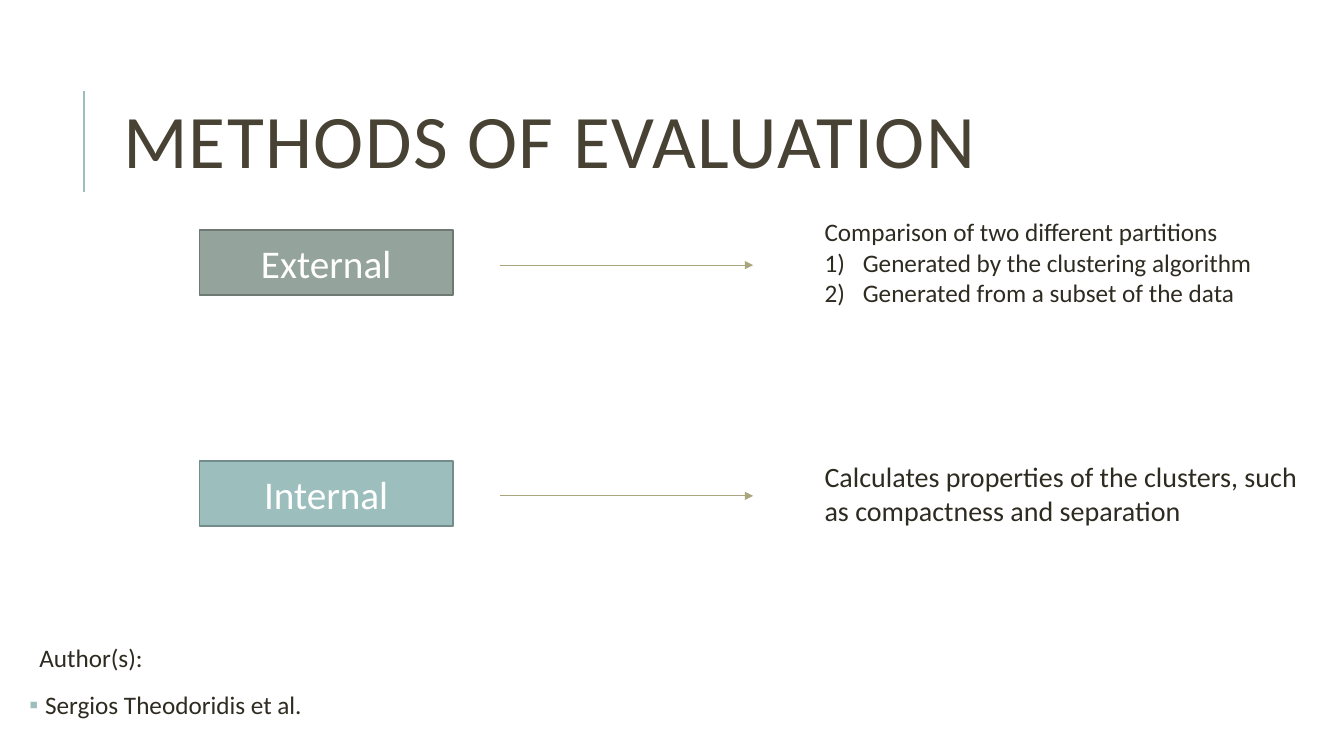
"""Build the slide on external and internal methods of evaluation."""
from lxml import etree
from pptx import Presentation
from pptx.dml.color import RGBColor
from pptx.enum.shapes import MSO_CONNECTOR, MSO_SHAPE
from pptx.enum.text import MSO_ANCHOR, MSO_AUTO_SIZE, PP_ALIGN
from pptx.oxml.ns import qn
from pptx.util import Inches, Pt

STRAIGHT = MSO_CONNECTOR.STRAIGHT
RECTANGLE = MSO_SHAPE.RECTANGLE
TOP, MIDDLE = MSO_ANCHOR.TOP, MSO_ANCHOR.MIDDLE
NO_FIT, GROW = MSO_AUTO_SIZE.NONE, MSO_AUTO_SIZE.SHAPE_TO_FIT_TEXT
LEFT, CENTER = PP_ALIGN.LEFT, PP_ALIGN.CENTER
WHITE = RGBColor(0xFF, 0xFF, 0xFF)
TITLE_BROWN = RGBColor(0x47, 0x42, 0x33)
TEXT_BROWN = RGBColor(0x2E, 0x2B, 0x21)
TEAL = RGBColor(0x9C, 0xBE, 0xBD)
TEAL_EDGE = RGBColor(0x73, 0x8D, 0x8C)
SAGE = RGBColor(0x95, 0xA3, 0x9D)
SAGE_EDGE = RGBColor(0x6E, 0x79, 0x74)
OLIVE = RGBColor(0xA9, 0xA5, 0x7C)


def write(shape, lines, size, color, align, anchor):
    frame = shape.text_frame
    frame.text = "\n".join(lines)
    frame.word_wrap = True
    frame.auto_size = NO_FIT
    frame.vertical_anchor = anchor
    for para in frame.paragraphs:
        para.alignment = align
        for span in para.runs:
            span.font.name = "Calibri"
            span.font.size = Pt(size)
            span.font.color.rgb = color
    return frame


def draw_line(x1, y1, x2, y2, color, width):
    line = slide.shapes.add_connector(
        STRAIGHT, Inches(x1), Inches(y1), Inches(x2), Inches(y2))
    line.line.color.rgb = color
    line.line.width = Pt(width)
    etree.SubElement(line.element.spPr, qn("a:effectLst"))
    return line


deck = Presentation()
deck.slide_width = Inches(13.33)
deck.slide_height = Inches(7.5)
slide = deck.slides.add_slide(deck.slide_layouts[1])

draw_line(0.83, 1.9, 0.83, 0.9, TEAL, 1.5)

title = slide.shapes.title
title.left, title.top = Inches(1.12), Inches(0.64)
title.width, title.height = Inches(10.63), Inches(1.64)
frame = write(title, ["METHODS OF EVALUATION"], 54, TITLE_BROWN, LEFT, MIDDLE)
frame.paragraphs[0].line_spacing = 0.8
frame.paragraphs[0].runs[0].font._element.set("spc", "100")

authors = slide.placeholders[1]
authors.left, authors.top = Inches(0.24), Inches(6.36)
authors.width, authors.height = Inches(3.26), Inches(2.29)
frame = write(authors, ["Author(s):", " Sergios Theodoridis et al."],
              18, TEXT_BROWN, LEFT, TOP)
frame.margin_left = frame.margin_right = Inches(0.05)
frame.margin_top = frame.margin_bottom = Inches(0.05)
for para, bullet in zip(frame.paragraphs, " ▪"):
    para.line_spacing = 0.9
    para.space_before = Pt(12)
    para.space_after = Pt(2)
    properties = para._p.get_or_add_pPr()
    properties.set("marL", str(Inches(0.1)))
    properties.set("indent", str(-Inches(0.1)))
    bullet_color = etree.SubElement(properties, qn("a:buClr"))
    etree.SubElement(bullet_color, qn("a:srgbClr"), val=str(TEAL))
    etree.SubElement(properties, qn("a:buFont"), typeface="Calibri")
    etree.SubElement(properties, qn("a:buChar"), char=bullet)

comparison = ["Comparison of two different partitions",
              "Generated by the clustering algorithm",
              "Generated from a subset of the data"]
properties_text = ["Calculates properties of the clusters, such as compactness "
                   "and separation"]
methods = [
    ("External", SAGE, SAGE_EDGE, comparison, 18, TOP, (2.1, 4.86, 1.01)),
    ("Internal", TEAL, TEAL_EDGE, properties_text, 20, MIDDLE, (4.37, 5.04, 1.05)),
]
descriptions = []
for row, (name, fill, edge, lines, size, anchor, place) in enumerate(methods):
    top = 2.28 + 2.29 * row
    box = slide.shapes.add_shape(
        RECTANGLE, Inches(1.98), Inches(top), Inches(2.51), Inches(0.65))
    box.shadow.inherit = False
    box.fill.solid()
    box.fill.fore_color.rgb = fill
    box.line.color.rgb = edge
    box.line.width = Pt(1.25)
    write(box, [name], 28, WHITE, CENTER, MIDDLE)

    arrow = draw_line(4.96, top + 0.35, 7.47, top + 0.35, OLIVE, 0.75)
    etree.SubElement(arrow.line._get_or_add_ln(), qn("a:tailEnd"), type="triangle")

    text_top, width, height = place
    description = slide.shapes.add_textbox(
        Inches(8.08), Inches(text_top), Inches(width), Inches(height))
    descriptions.append(write(description, lines, size, TEXT_BROWN, LEFT, anchor))

descriptions[0].auto_size = GROW
for para in descriptions[0].paragraphs[1:]:
    properties = para._p.get_or_add_pPr()
    properties.set("marL", str(Inches(0.38)))
    properties.set("indent", str(-Inches(0.38)))
    etree.SubElement(properties, qn("a:buAutoNum"), type="arabicParenR")

deck.save("out.pptx")
